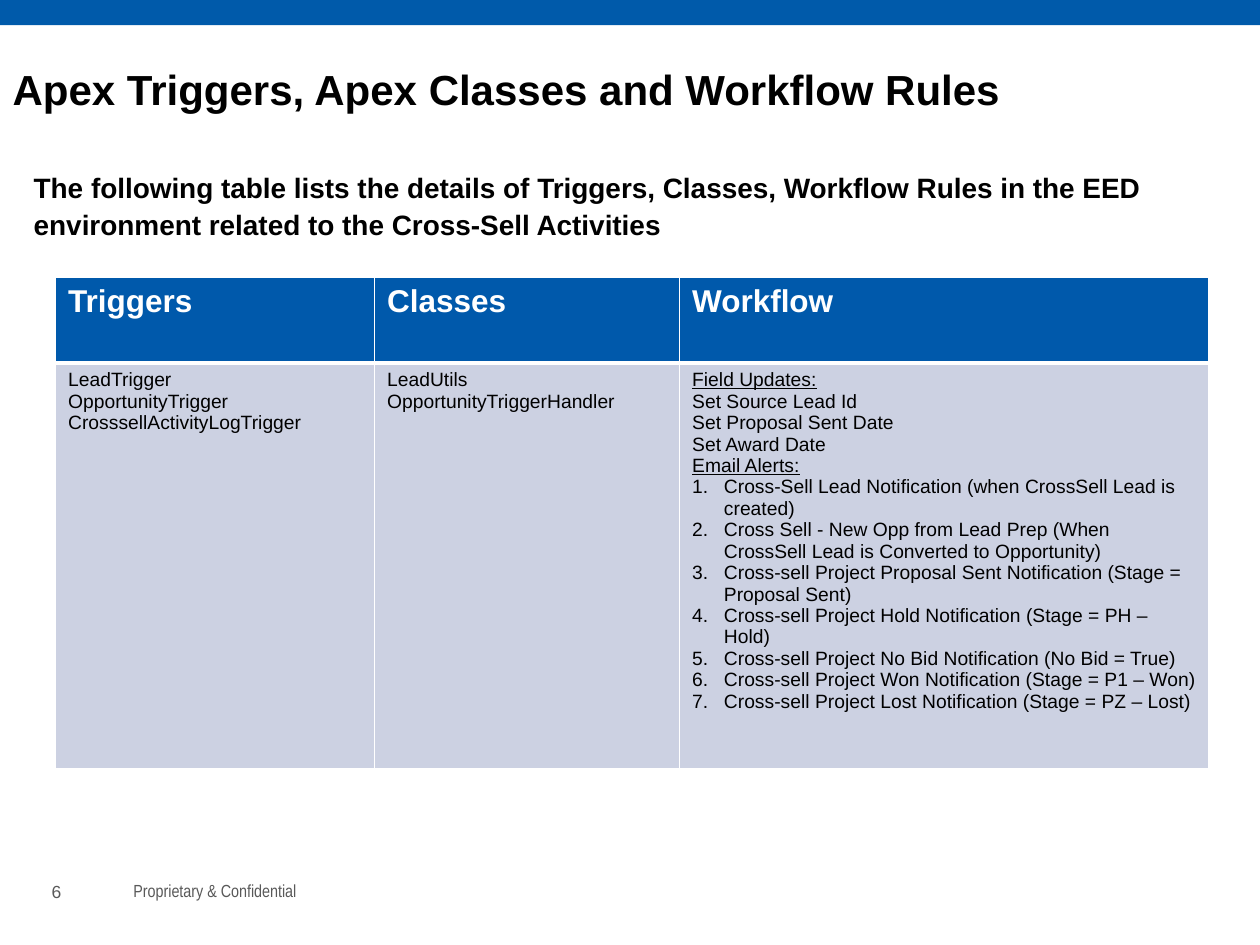
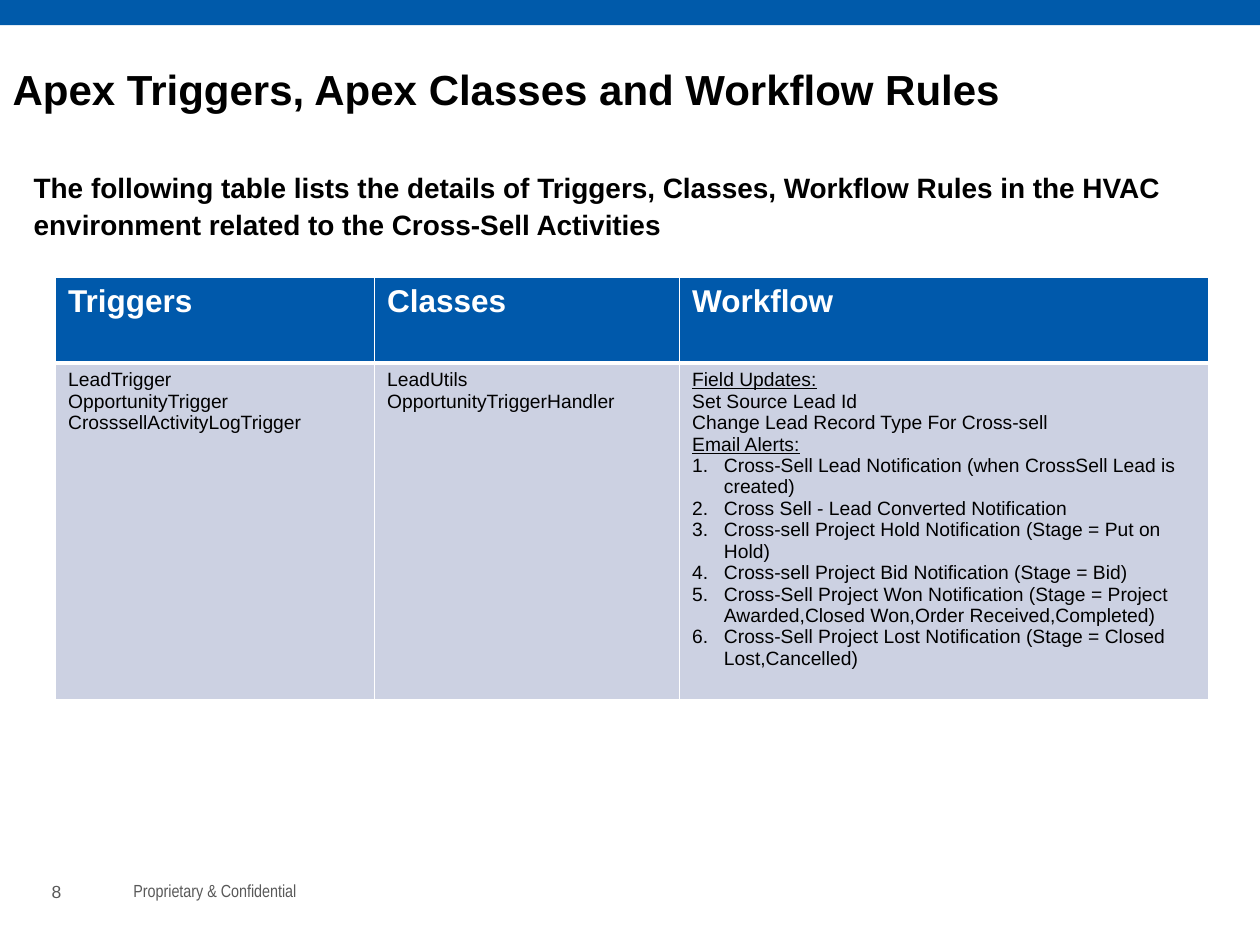
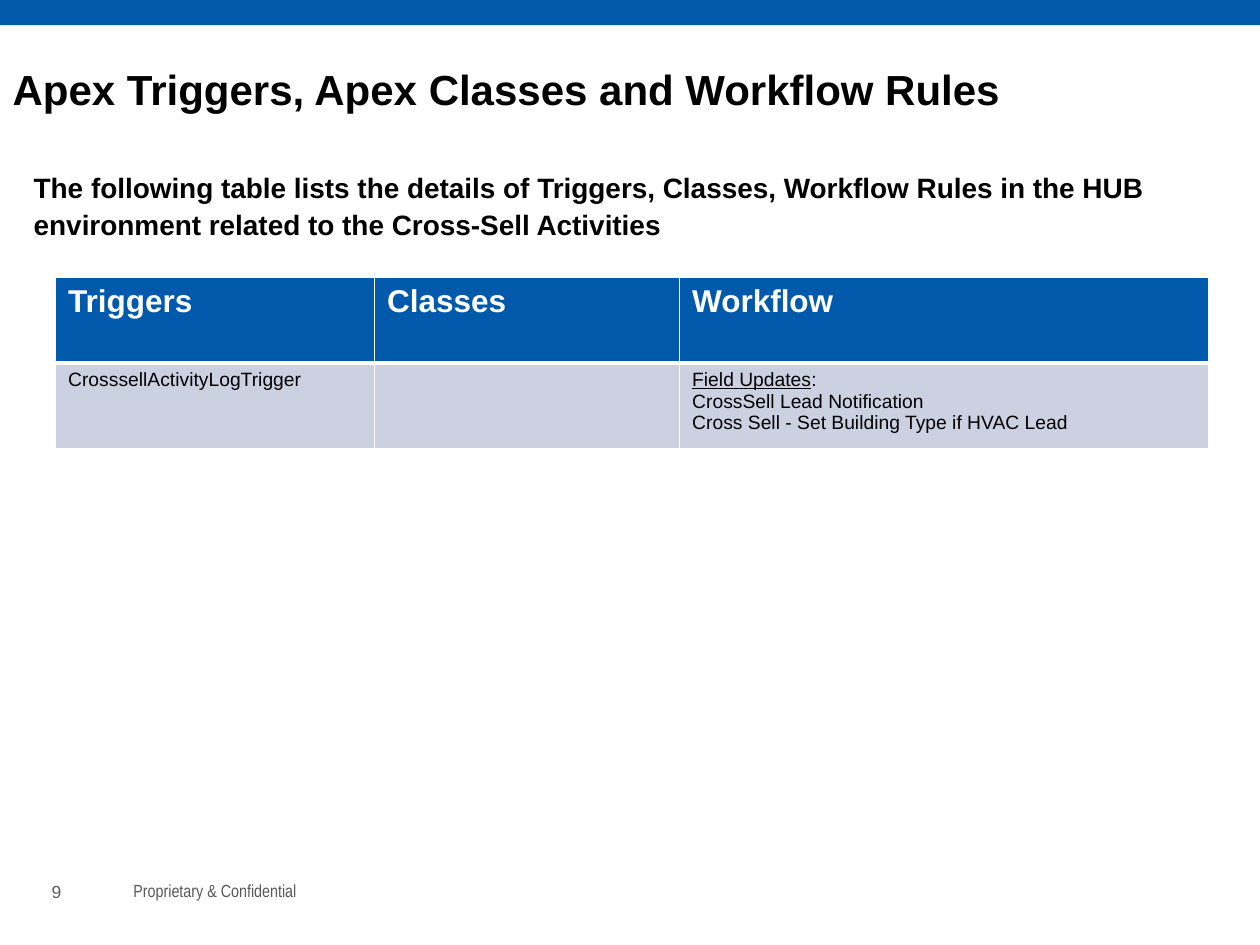
from dataclasses import dataclass
from typing import Any

from lxml.etree import SubElement
from pptx import Presentation
from pptx.dml.color import RGBColor
from pptx.enum.shapes import MSO_SHAPE as Shape
from pptx.enum.text import MSO_ANCHOR as Anchor, MSO_AUTO_SIZE as AutoSize, PP_ALIGN as Align
from pptx.oxml.ns import qn
from pptx.util import Cm, Pt

BAND_BLUE = "005AAA"
HEADER_BLUE = "0059AB"
BODY_FILL = "CCD1E2"
BLACK = "000000"
WHITE = "FFFFFF"
GREY = "595959"

TITLE = "Apex Triggers, Apex Classes and Workflow Rules"
FOOTER = "Proprietary & Confidential"
HEADINGS = ("Triggers", "Classes", "Workflow")
COLUMN_WIDTHS = (6.43, 6.15, 10.67)
HEADER_HEIGHT = 1.73
TITLE_SPACING = 1.08


@dataclass(frozen=True)
class Style:
    size: float
    color: str = BLACK
    bold: bool = False
    name: str = "Arial"


@dataclass(frozen=True)
class Area:
    left: float
    top: float
    width: float
    height: float

    def lengths(self) -> tuple:
        return tuple(Cm(value) for value in (self.left, self.top, self.width, self.height))


@dataclass(frozen=True)
class Line:
    text: str
    underlined: bool = False
    numbered: bool = False
    ending: str = ""


@dataclass(frozen=True)
class Page:
    number: int
    environment: str
    body_height: float
    triggers: list[Line]
    classes: list[Line]
    workflow: list[Line]


TITLE_STYLE = Style(24, bold=True)
INTRO_STYLE = Style(16, bold=True)
HEADING_STYLE = Style(18, WHITE, bold=True)
BODY_STYLE = Style(11)
NUMBER_STYLE = Style(10, GREY)
FOOTER_STYLE = Style(10, GREY, name="Arial Narrow")

BAND_AREA = Area(0, 0, 25.4, 0.51)
TITLE_AREA = Area(0, 1.07, 21.59, 1.27)
INTRO_AREA = Area(0.43, 2.59, 24.54, 3)
NUMBER_AREA = Area(0.86, 17.27, 1.04, 1.02)
FOOTER_AREA = Area(2.59, 17.65, 4.72, 0.51)


def plain(*texts: str) -> list[Line]:
    return [Line(text) for text in texts]


def numbered(*texts: str) -> list[Line]:
    return [Line(text, numbered=True) for text in texts]


FIELD_UPDATES = Line("Field Updates:", underlined=True)
EMAIL_ALERTS = Line("Email Alerts:", underlined=True)
LOG_TRIGGER = "CrosssellActivityLogTrigger"
LEAD_CREATED = "Cross-Sell Lead Notification (when CrossSell Lead is created)"
LEAD_TRIGGERS = plain("LeadTrigger", "OpportunityTrigger", LOG_TRIGGER)
LEAD_CLASSES = plain("LeadUtils", "OpportunityTriggerHandler")

PAGES = [
    Page(6, "EED", 8.18, LEAD_TRIGGERS, LEAD_CLASSES, [
        FIELD_UPDATES,
        *plain("Set Source Lead Id", "Set Proposal Sent Date", "Set Award Date"),
        EMAIL_ALERTS,
        *numbered(
            LEAD_CREATED,
            "Cross Sell - New Opp from Lead Prep (When CrossSell Lead is Converted to Opportunity)",
            "Cross-sell Project Proposal Sent Notification (Stage = Proposal Sent)",
            "Cross-sell Project Hold Notification (Stage = PH – Hold)",
            "Cross-sell Project No Bid Notification (No Bid = True)",
            "Cross-sell Project Won Notification (Stage = P1 – Won)",
            "Cross-sell Project Lost Notification (Stage = PZ – Lost)",
        ),
    ]),
    Page(8, "HVAC", 6.77, LEAD_TRIGGERS, LEAD_CLASSES, [
        FIELD_UPDATES,
        *plain("Set Source Lead Id", "Change Lead Record Type For Cross-sell"),
        EMAIL_ALERTS,
        *numbered(
            LEAD_CREATED,
            "Cross Sell - Lead Converted Notification",
            "Cross-sell Project Hold Notification (Stage = Put on Hold)",
            "Cross-sell Project Bid Notification (Stage = Bid)",
            "Cross-Sell Project Won Notification "
            "(Stage = Project Awarded,Closed Won,Order Received,Completed)",
            "Cross-Sell Project Lost Notification (Stage = Closed Lost,Cancelled)",
        ),
    ]),
    Page(9, "HUB", 1.73, plain(LOG_TRIGGER), [], [
        Line("Field Updates", underlined=True, ending=":"),
        *plain("CrossSell Lead Notification", "Cross Sell - Set Building Type if HVAC Lead"),
    ]),
]


def rgb(value: str) -> RGBColor:
    return RGBColor.from_string(value)


def set_all(target: Any, values: dict[str, Any]) -> None:
    for name, value in values.items():
        setattr(target, name, value)


def add_span(para: Any, text: str, style: Style, underlined: bool = False) -> None:
    span = para.add_run()
    span.text = text
    set_all(span.font, {"name": style.name, "size": Pt(style.size),
                        "bold": style.bold, "underline": underlined})
    span.font.color.rgb = rgb(style.color)


def number_paragraph(para: Any) -> None:
    properties = para._p.get_or_add_pPr()
    properties.set("marL", str(Cm(0.64)))
    properties.set("indent", str(-Cm(0.64)))
    SubElement(properties, qn("a:buAutoNum"), type="arabicPeriod")


def write_lines(frame: Any, lines: list[Line], style: Style, spacing: float = 1.0) -> None:
    for index, line in enumerate(lines):
        para = frame.add_paragraph() if index else frame.paragraphs[0]
        set_all(para, {"alignment": Align.LEFT, "line_spacing": spacing})
        if line.numbered:
            number_paragraph(para)
        add_span(para, line.text, style, line.underlined)
        if line.ending:
            add_span(para, line.ending, style)


def add_text(slide: Any, area: Area, text: str, style: Style,
             frame_format: dict[str, Any], spacing: float = 1.0) -> None:
    frame = slide.shapes.add_textbox(*area.lengths()).text_frame
    set_all(frame, {"word_wrap": True, **frame_format})
    write_lines(frame, plain(text), style, spacing)


def add_title(slide: Any) -> None:
    title = slide.shapes.title
    set_all(title, dict(zip(("left", "top", "width", "height"), TITLE_AREA.lengths())))
    set_all(title.text_frame, {"word_wrap": True, "auto_size": AutoSize.NONE,
                               "vertical_anchor": Anchor.TOP})
    write_lines(title.text_frame, plain(TITLE), TITLE_STYLE, TITLE_SPACING)


def add_frame(slide: Any, number: int) -> None:
    band = slide.shapes.add_shape(Shape.RECTANGLE, *BAND_AREA.lengths())
    band.shadow.inherit = False
    band.fill.solid()
    band.fill.fore_color.rgb = rgb(BAND_BLUE)
    band.line.fill.background()
    narrow = {"margin_top": Cm(0.1), "margin_bottom": Cm(0.1)}
    add_text(slide, NUMBER_AREA, str(number), NUMBER_STYLE,
             {**narrow, "margin_left": Cm(0.18), "margin_right": Cm(0.18),
              "vertical_anchor": Anchor.BOTTOM})
    add_text(slide, FOOTER_AREA, FOOTER, FOOTER_STYLE,
             {**narrow, "margin_left": Cm(0.1), "margin_right": Cm(0.1)})


def add_borders(cell: Any, widths: dict[str, float]) -> None:
    properties = cell._tc.get_or_add_tcPr()
    for side, width in widths.items():
        border = SubElement(properties, qn(f"a:ln{side}"), w=str(Pt(width)))
        fill = SubElement(border, qn("a:solidFill"))
        SubElement(fill, qn("a:srgbClr"), val=WHITE)


def fill_cell(cell: Any, lines: list[Line], style: Style, fill: str,
              top: float, bottom: float) -> None:
    add_borders(cell, {"L": 1, "R": 1, "T": top, "B": bottom})
    cell.fill.solid()
    cell.fill.fore_color.rgb = rgb(fill)
    write_lines(cell.text_frame, lines, style)


def add_rules_table(slide: Any, page: Page) -> None:
    area = Area(1.12, 5.59, sum(COLUMN_WIDTHS), HEADER_HEIGHT + page.body_height)
    table = slide.shapes.add_table(2, len(HEADINGS), *area.lengths()).table
    set_all(table, {"first_row": False, "horz_banding": False})
    for row, height in zip(table.rows, (HEADER_HEIGHT, page.body_height)):
        row.height = Cm(height)
    contents = (page.triggers, page.classes, page.workflow)
    for index, (heading, lines, width) in enumerate(zip(HEADINGS, contents, COLUMN_WIDTHS)):
        table.columns[index].width = Cm(width)
        fill_cell(table.cell(0, index), plain(heading), HEADING_STYLE, HEADER_BLUE, 1, 3)
        fill_cell(table.cell(1, index), lines, BODY_STYLE, BODY_FILL, 3, 1)


def add_page(deck: Any, page: Page) -> None:
    slide = deck.slides.add_slide(deck.slide_layouts[5])
    add_frame(slide, page.number)
    intro = ("The following table lists the details of Triggers, Classes, Workflow Rules "
             f"in the {page.environment} environment related to the Cross-Sell Activities")
    add_text(slide, INTRO_AREA, intro, INTRO_STYLE, {"margin_top": Cm(0.8)}, TITLE_SPACING)
    add_title(slide)
    add_rules_table(slide, page)


def main() -> None:
    deck = Presentation()
    set_all(deck, {"slide_width": Cm(25.4), "slide_height": Cm(19.05)})
    for page in PAGES:
        add_page(deck, page)
    deck.save("out.pptx")


if __name__ == "__main__":
    main()
